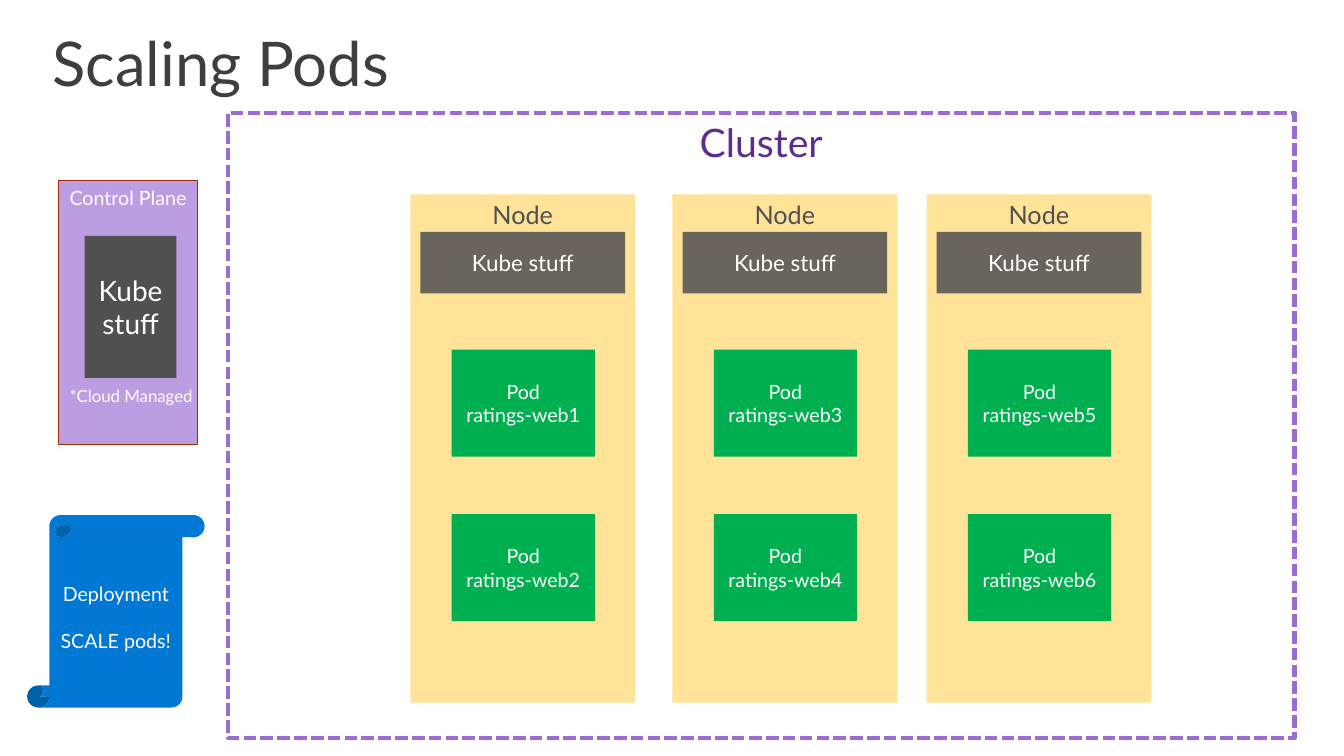
from lxml import etree
from pptx import Presentation
from pptx.dml.color import RGBColor
from pptx.enum.dml import MSO_LINE
from pptx.enum.shapes import MSO_SHAPE
from pptx.enum.text import MSO_ANCHOR, PP_ALIGN
from pptx.oxml.ns import qn
from pptx.util import Inches, Pt

RECT = MSO_SHAPE.RECTANGLE
SCROLL = MSO_SHAPE.VERTICAL_SCROLL
DASH = MSO_LINE.SQUARE_DOT
TOP, MIDDLE = MSO_ANCHOR.TOP, MSO_ANCHOR.MIDDLE
CENTER, LEFT = PP_ALIGN.CENTER, PP_ALIGN.LEFT

WHITE = RGBColor(0xFF, 0xFF, 0xFF)
INK = RGBColor(0x3E, 0x3E, 0x3E)
GRAY = RGBColor(0x50, 0x50, 0x50)
SAND = RGBColor(0xFF, 0xE3, 0x99)
GREEN = RGBColor(0x00, 0xB0, 0x50)
BLUE = RGBColor(0x00, 0x78, 0xD4)
LILAC = RGBColor(0xBD, 0x9D, 0xE1)
RUST = RGBColor(0xA0, 0x2C, 0x01)
VIOLET = RGBColor(0x9C, 0x6C, 0xD2)
PURPLE = RGBColor(0x5C, 0x2D, 0x91)

NODES = (4.07, 6.67, 9.19)
POD_TOP, POD_STEP = 3.47, 1.63


def write(frame, lines, size, color, align=CENTER, anchor=TOP, inset=(0, 0.05), **paras):
    """Fill a text frame; paras holds further paragraph settings."""
    side, edge = map(Inches, inset)
    look = {"word_wrap": True, "vertical_anchor": anchor,
            "margin_left": side, "margin_right": side,
            "margin_top": edge, "margin_bottom": edge}
    for name, value in look.items():
        setattr(frame, name, value)
    for i, line in enumerate(lines):
        para = frame.paragraphs[0] if i == 0 else frame.add_paragraph()
        para.text = line
        for name, value in {"alignment": align, **paras}.items():
            if i or name != "space_before":
                setattr(para, name, value)
        for name, value in {"name": "Lato", "size": Pt(size)}.items():
            setattr(para.font, name, value)
        para.font.color.rgb = color


def box(slide, place, lines, size, fill=None, color=WHITE, kind=RECT, line=None, **text):
    """Add a filled or outlined shape; line is (color, width)."""
    shape = slide.shapes.add_shape(kind, *map(Inches, place))
    shape.shadow.inherit = False
    if fill is None:
        shape.fill.background()
    else:
        shape.fill.solid()
        shape.fill.fore_color.rgb = fill
    if line:
        shape.line.color.rgb, shape.line.width = line[0], Pt(line[1])
    else:
        shape.line.fill.background()
    write(shape.text_frame, lines, size, color, **text)
    return shape


def fade(shape, percent):
    """Set the opacity of a solid fill."""
    tint = shape.fill._xPr.find(qn("a:solidFill"))[0]
    etree.SubElement(tint, qn("a:alpha")).set("val", str(percent * 1000))


def title(slide, text):
    head = slide.shapes.title
    head.left, head.top, head.width, head.height = map(Inches, (0.52, 0.33, 11.4, 0.67))
    write(head.text_frame, [text], 44, INK, align=LEFT, inset=(0, 0), line_spacing=0.9)


def plane(slide):
    box(slide, (0.58, 1.79, 1.38, 2.62), ["Control Plane"], 14, LILAC, line=(RUST, 0.85))
    box(slide, (0.84, 2.34, 0.91, 1.41), ["Kube stuff"], 20, GRAY, anchor=MIDDLE)
    note = slide.shapes.add_textbox(*map(Inches, (0.49, 3.76, 1.87, 0.5)))
    write(note.text_frame, ["*Cloud Managed"], 12, WHITE, align=LEFT,
          inset=(0.2, 0.16), line_spacing=0.9)


def node(slide, left, first):
    """Draw a node with two pods, numbered from first."""
    box(slide, (left, 1.93, 2.23, 5.04), ["Node"], 18, SAND, GRAY)
    kube = box(slide, (left + 0.1, 2.3, 2.03, 0.61), ["Kube stuff"], 16, GRAY, anchor=MIDDLE)
    fade(kube, 85)
    for i in range(2):
        place = (left + 0.41, POD_TOP + i * POD_STEP, 1.42, 1.06)
        box(slide, place, ["Pod", f"ratings-web{first + i}"], 14, GREEN, anchor=MIDDLE)


def main():
    deck = Presentation()
    deck.slide_width, deck.slide_height = Inches(13.33), Inches(7.5)
    slide = deck.slides.add_slide(deck.slide_layouts[5])
    title(slide, "Scaling Pods")
    cluster = box(slide, (2.26, 1.12, 10.58, 6.2), ["Cluster"], 28,
                  color=PURPLE, line=(VIOLET, 3))
    cluster.line.dash_style = DASH
    plane(slide)
    for i, left in enumerate(NODES):
        node(slide, left, 2 * i + 1)
    box(slide, (0.27, 5.11, 1.76, 1.91), ["Deployment", "SCALE pods!"], 14, BLUE,
        kind=SCROLL, anchor=MIDDLE, space_before=Pt(17))
    deck.save("out.pptx")


if __name__ == "__main__":
    main()
